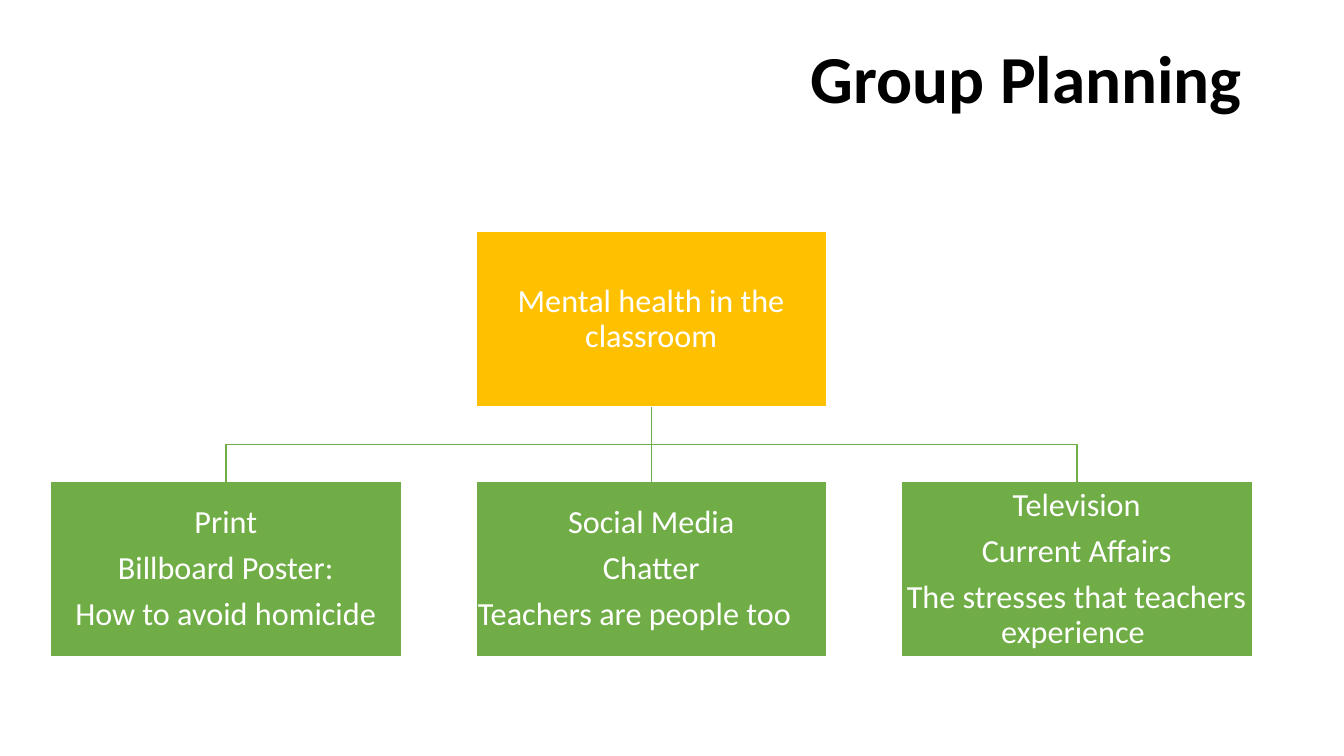
from lxml.etree import SubElement
from pptx import Presentation
from pptx.dml.color import RGBColor as RGB
from pptx.enum.shapes import MSO_CONNECTOR as LINK, MSO_SHAPE as SHAPE
from pptx.enum.text import MSO_ANCHOR as ANCHOR, PP_ALIGN as ALIGN
from pptx.oxml.ns import qn
from pptx.util import Inches, Pt

COLORS = {"ink": "000000", "paper": "FFFFFF", "root": "FFC000", "leaf": "70AD47"}
FONT = "Calibri"
ROOT = ["Mental health in the classroom"]
LEAVES = [
    ["Print", "Billboard Poster:", "How to avoid homicide"],
    ["Social Media", "Chatter", "Teachers are people too\t"],
    ["Television", "Current Affairs", "The stresses that teachers experience "],
]


def color(name):
    """Return the named palette colour."""
    return RGB.from_string(COLORS[name])


def write(frame, lines, size, tint, align, bold=False, gap=0):
    """Fill a text frame with one paragraph per line."""
    frame.word_wrap = True
    for i, line in enumerate(lines):
        para = frame.add_paragraph() if i else frame.paragraphs[0]
        para.alignment = align
        para.line_spacing = 0.9
        para.space_after = Pt(gap)
        run = para.add_run()
        run.text = line
        run.font.name = FONT
        run.font.size = Pt(size)
        run.font.bold = bold
        run.font.color.rgb = color(tint)


def add_title(slide, left, top, width, height):
    """Place the right-aligned title in its box."""
    box = slide.shapes.add_textbox(*map(Inches, (left, top, width, height)))
    box.text_frame.vertical_anchor = ANCHOR.TOP
    write(box.text_frame, ["Group Planning"], 48, "ink", ALIGN.RIGHT, bold=True)


def add_node(slide, lines, fill, left, top, width, height):
    """Draw one filled chart box with centred text."""
    node = slide.shapes.add_shape(
        SHAPE.RECTANGLE, *map(Inches, (left, top, width, height)))
    node.shadow.inherit = False
    node.fill.solid()
    node.fill.fore_color.rgb = color(fill)
    node.line.color.rgb = color("paper")
    node.line.width = Pt(1)
    frame = node.text_frame
    frame.vertical_anchor = ANCHOR.MIDDLE
    frame.margin_left = frame.margin_right = Inches(0.02)
    frame.margin_top = frame.margin_bottom = Inches(0.02)
    write(frame, lines, 23, "paper", ALIGN.CENTER, gap=8)
    return node


def add_link(slide, root, leaf):
    """Link the root to a leaf, straight down or by an elbow."""
    x1, y1 = root.left + root.width // 2, root.top + root.height
    x2, y2 = leaf.left + leaf.width // 2, leaf.top
    if abs(x1 - x2) < Inches(0.01):
        link = slide.shapes.add_connector(LINK.STRAIGHT, x1, y1, x2, y2)
        link.begin_connect(root, 2)
        link.end_connect(leaf, 0)
        SubElement(link.element.spPr, qn("a:effectLst"))
    else:
        mid = (y1 + y2) // 2
        path = slide.shapes.build_freeform(x1, y1)
        path.add_line_segments([(x1, mid), (x2, mid), (x2, y2)], close=False)
        link = path.convert_to_shape()
        link.shadow.inherit = False
        link.fill.background()
    link.line.color.rgb = color("leaf")
    link.line.width = Pt(1)


def add_tree(slide, left, top, width, height):
    """Lay out the root above an even row of leaves."""
    wide, high = 3.48, 1.74
    step = (width - wide) / (len(LEAVES) - 1)
    root = add_node(slide, ROOT, "root", left + (width - wide) / 2, top, wide, high)
    for i, lines in enumerate(LEAVES):
        leaf = add_node(slide, lines, "leaf", left + i * step,
                        top + height - high, wide, high)
        add_link(slide, root, leaf)


def main():
    """Build and save the slide."""
    deck = Presentation()
    deck.slide_width, deck.slide_height = Inches(13.33), Inches(7.5)
    slide = deck.slides.add_slide(deck.slide_layouts[6])
    add_title(slide, 0.5, 0.4, 11.92, 1.45)
    add_tree(slide, 0.5, 2.3, 11.92, 4.22)
    deck.save("out.pptx")


if __name__ == "__main__":
    main()
